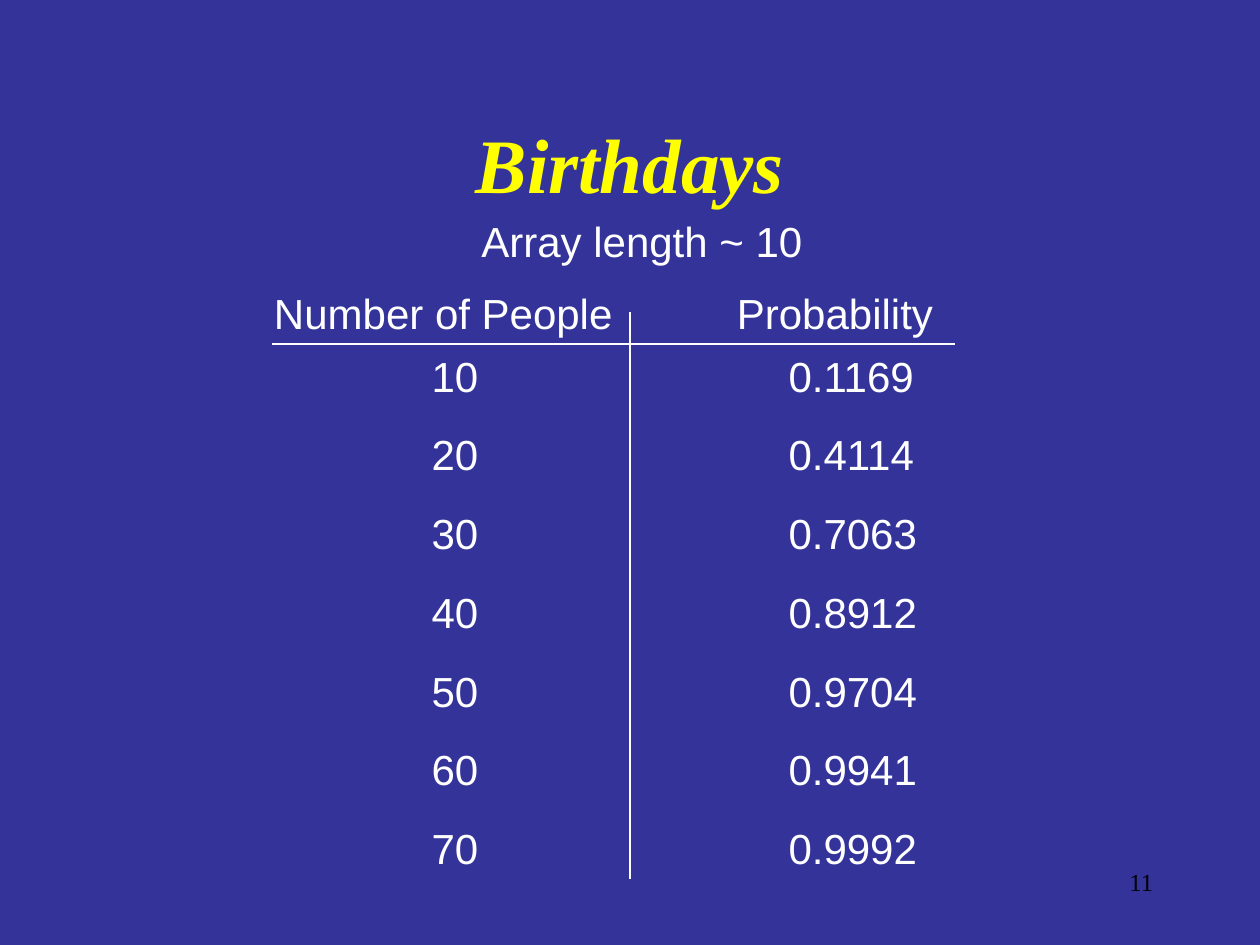
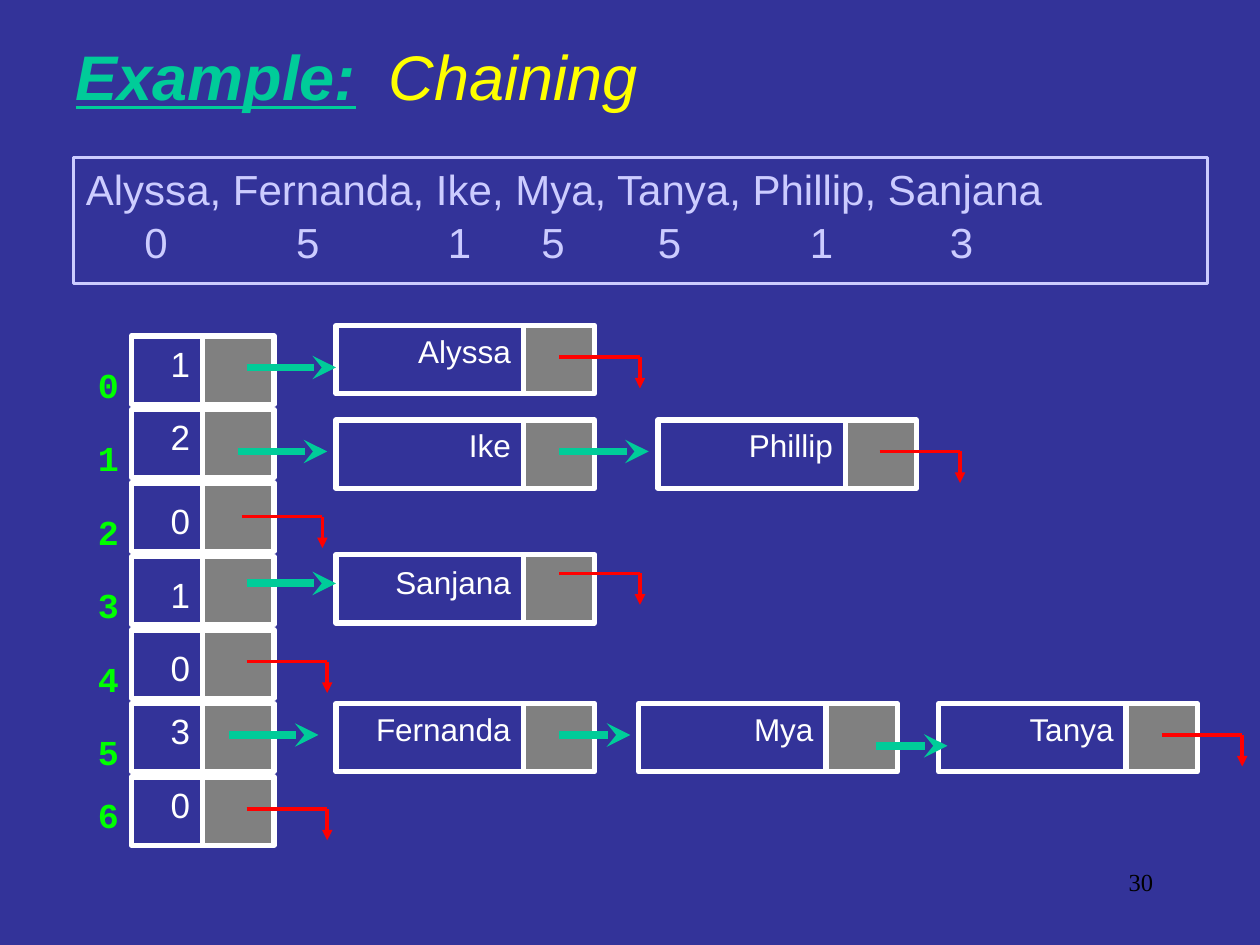
from lxml import etree
from pptx import Presentation
from pptx.dml.color import RGBColor
from pptx.enum.shapes import MSO_CONNECTOR, MSO_SHAPE
from pptx.enum.text import MSO_ANCHOR, MSO_AUTO_SIZE, PP_ALIGN
from pptx.oxml.ns import qn
from pptx.util import Pt

LEFT, CENTER, RIGHT = PP_ALIGN.LEFT, PP_ALIGN.CENTER, PP_ALIGN.RIGHT
TOP, MIDDLE = MSO_ANCHOR.TOP, MSO_ANCHOR.MIDDLE
NO_AUTOSIZE = MSO_AUTO_SIZE.NONE
RECTANGLE = MSO_SHAPE.RECTANGLE
STRAIGHT = MSO_CONNECTOR.STRAIGHT

COLORS = {
    "background": "333399",
    "title": "FFFF00",
    "accent": "00CC99",
    "text": "FFFFFF",
    "input": "CCCCFF",
    "index": "00FF00",
    "pointer": "808080",
    "null": "FF0000",
    "number": "000000",
}
SANS, SERIF, MONO = "Arial", "Times New Roman", "Courier New"
INSET_X, INSET_Y = 7.2, 3.6

PROBABILITIES = {
    "10": "0.1169", "20": "0.4114", "30": "0.7063", "40": "0.8912",
    "50": "0.9704", "60": "0.9941", "70": "0.9992",
}

INPUT_NAMES = "Alyssa, Fernanda, Ike, Mya, Tanya, Phillip, Sanjana"
INPUT_HASHES = ["0", "5", "1", "5", "5", "1", "3"]
HASH_TABS = [33.4, 120.1, 206.8, 260.2, 326.9, 413.7, 493.7]

ROW_STEP = 42
CELL_WIDTH, CELL_HEIGHT, NAME_WIDTH = 40.8, 39, 107
BUCKET_COUNTS = [1, 2, 0, 1, 0, 3, 0]
LOWERED_BUCKETS = (2, 3, 4)
CHAIN_NODES = [
    ("Alyssa", 117, -6),
    ("Ike", 117, 48), ("Phillip", 301, 48),
    ("Sanjana", 117, 125),
    ("Fernanda", 117, 210), ("Mya", 290, 210), ("Tanya", 461.4, 210),
]
NEXT_ARROWS = [
    (66, 18, 51), (61, 66, 51), (244.7, 66, 51), (66, 141.4, 51),
    (56, 228, 51), (244.7, 228, 40.5), (425.4, 234.2, 41),
]
NULL_POINTERS = [
    (244.7, 12), (427.6, 66), (63.2, 103.2), (244.7, 135.6),
    (66, 186), (588.8, 228), (66, 270.2),
]


def color(name):
    return RGBColor.from_string(COLORS[name])


def style(font, size, tint, face=SANS, bold=False, italic=False, underline=False):
    font.size, font.name = Pt(size), face
    font.bold, font.italic, font.underline = bold, italic, underline
    font.color.rgb = color(tint)


def add_tabs(para, stops):
    tab_list = etree.SubElement(para._p.get_or_add_pPr(), qn("a:tabLst"))
    for stop in stops:
        etree.SubElement(tab_list, qn("a:tab"), pos=str(Pt(stop)), algn="l")


def fill_frame(frame, lines, size, tint, align=LEFT, space=0, tabs=(), lower=0, **look):
    frame.word_wrap = True
    frame.vertical_anchor = TOP
    frame.margin_top = Pt(INSET_Y + lower)
    for number, line in enumerate(lines):
        para = frame.add_paragraph() if number else frame.paragraphs[0]
        para.text = line
        para.alignment = align
        para.space_before = Pt(space)
        if tabs:
            add_tabs(para, tabs)
        style(para.font, size, tint, **look)


def add_text(page, box, lines, size, tint, **options):
    shape = page.shapes.add_textbox(*map(Pt, box))
    fill_frame(shape.text_frame, lines, size, tint, **options)


def add_rectangle(page, box, border, width, fill=None):
    shape = page.shapes.add_shape(RECTANGLE, *map(Pt, box))
    shape.shadow.inherit = False
    if fill:
        shape.fill.solid()
        shape.fill.fore_color.rgb = color(fill)
    else:
        shape.fill.background()
    shape.line.color.rgb = color(border)
    shape.line.width = Pt(width)
    return shape


def add_line(page, start, end, tint, width, arrowhead=None):
    line = page.shapes.add_connector(STRAIGHT, *map(Pt, start + end))
    line.line.color.rgb = color(tint)
    line.line.width = Pt(width)
    properties = line.element.spPr
    if arrowhead:
        etree.SubElement(properties.get_or_add_ln(), qn("a:tailEnd"), type=arrowhead)
    etree.SubElement(properties, qn("a:effectLst"))


def add_page(deck, number):
    page = deck.slides.add_slide(deck.slide_layouts[5])
    page.background.fill.solid()
    page.background.fill.fore_color.rgb = color("background")
    add_text(page, (516, 492, 150, 36), [number], 14, "number", align=RIGHT, face=SERIF)
    return page


def set_title(page, box, spans, align, anchor, tabs=()):
    title = page.shapes.title
    title.left, title.top, title.width, title.height = map(Pt, box)
    frame = title.text_frame
    frame.auto_size = NO_AUTOSIZE
    frame.word_wrap = True
    frame.vertical_anchor = anchor
    para = frame.paragraphs[0]
    para.alignment = align
    if tabs:
        add_tabs(para, tabs)
    for text, look in spans:
        span = para.add_run()
        span.text = text
        style(span.font, italic=True, **look)


def add_probability_table(page, box):
    left, top, width, height = box
    rule, divider = top + 36, left + 204.5
    add_text(page, (left - 6, top, 246, 36), ["Number of People"], 24, "text")
    add_text(page, (left + 258.5, top, 198, 36), ["Probability"], 24, "text")
    columns = [(84, 60, PROBABILITIES.keys()), (288, 90, PROBABILITIES.values())]
    for offset, column_width, values in columns:
        add_text(page, (left + offset, rule, column_width, height - 43),
                 values, 24, "text", space=16.2)
    add_line(page, (left, rule), (left + width, rule), "text", 1)
    add_line(page, (divider, top + 18), (divider, top + height), "text", 1)


def add_input_panel(page, box):
    left, top, width, height = box
    add_text(page, (left, top, width + 18, 36), [INPUT_NAMES], 24, "input")
    hashes = "".join("\t" + value for value in INPUT_HASHES)
    add_text(page, (left, top + 30, width + 18, 36), [hashes], 24, "input", tabs=HASH_TABS)
    add_rectangle(page, box, "input", 2)


def add_node(page, box, label, size, lower=0):
    left, top, width, height = box
    cell = add_rectangle(page, box, "text", 3)
    fill_frame(cell.text_frame, [label], size, "text", align=RIGHT, lower=lower)
    add_rectangle(page, (left + width, top, CELL_WIDTH, height), "text", 3, "pointer")


def add_hash_table(page, left, top):
    for row, count in enumerate(BUCKET_COUNTS):
        row_top = top + row * ROW_STEP
        last = row == len(BUCKET_COUNTS) - 1
        add_text(page, (left - 64, row_top + (6 if last else 12), 64, 32), [str(row)],
                 20, "index", align=RIGHT, face=MONO, bold=True)
        add_node(page, (left, row_top, CELL_WIDTH, CELL_HEIGHT), str(count), 20,
                 6 if row in LOWERED_BUCKETS else 0)


def add_chains(page, left, top):
    for name, x, y in CHAIN_NODES:
        add_node(page, (left + x, top + y, NAME_WIDTH, CELL_HEIGHT), name, 18,
                 1.4 if name == "Sanjana" else 0)
    for x, y, length in NEXT_ARROWS:
        start = (left + x, top + y)
        add_line(page, start, (start[0] + length, start[1]), "accent", 4.5, "stealth")
    for x, y in NULL_POINTERS:
        start, corner = (left + x, top + y), (left + x + 46, top + y)
        add_line(page, start, corner, "null", 2)
        add_line(page, corner, (corner[0], corner[1] + 18), "null", 2, "triangle")


def build_birthdays(deck):
    page = add_page(deck, "11")
    look = {"size": 44, "tint": "title", "face": SERIF, "bold": True}
    set_title(page, (54, 48, 612, 90), [("Birthdays", look)], CENTER, MIDDLE)
    add_text(page, (268, 119.5, 246, 36), ["Array length ~ 10"], 24, "text")
    add_probability_table(page, (155.5, 160.5, 390, 342))


def build_chaining(deck):
    page = add_page(deck, "30")
    spans = [
        ("Example:", {"size": 36, "tint": "accent", "bold": True, "underline": True}),
        ("\tChaining", {"size": 36, "tint": "title"}),
    ]
    set_title(page, (36, 18, 648, 50.4), spans, LEFT, TOP, [179])
    add_input_panel(page, (42, 90, 648, 72))
    add_hash_table(page, 75, 192)
    add_chains(page, 75, 192)


def main():
    deck = Presentation()
    deck.slide_width, deck.slide_height = Pt(720), Pt(540)
    build_birthdays(deck)
    build_chaining(deck)
    deck.save("out.pptx")


if __name__ == "__main__":
    main()
